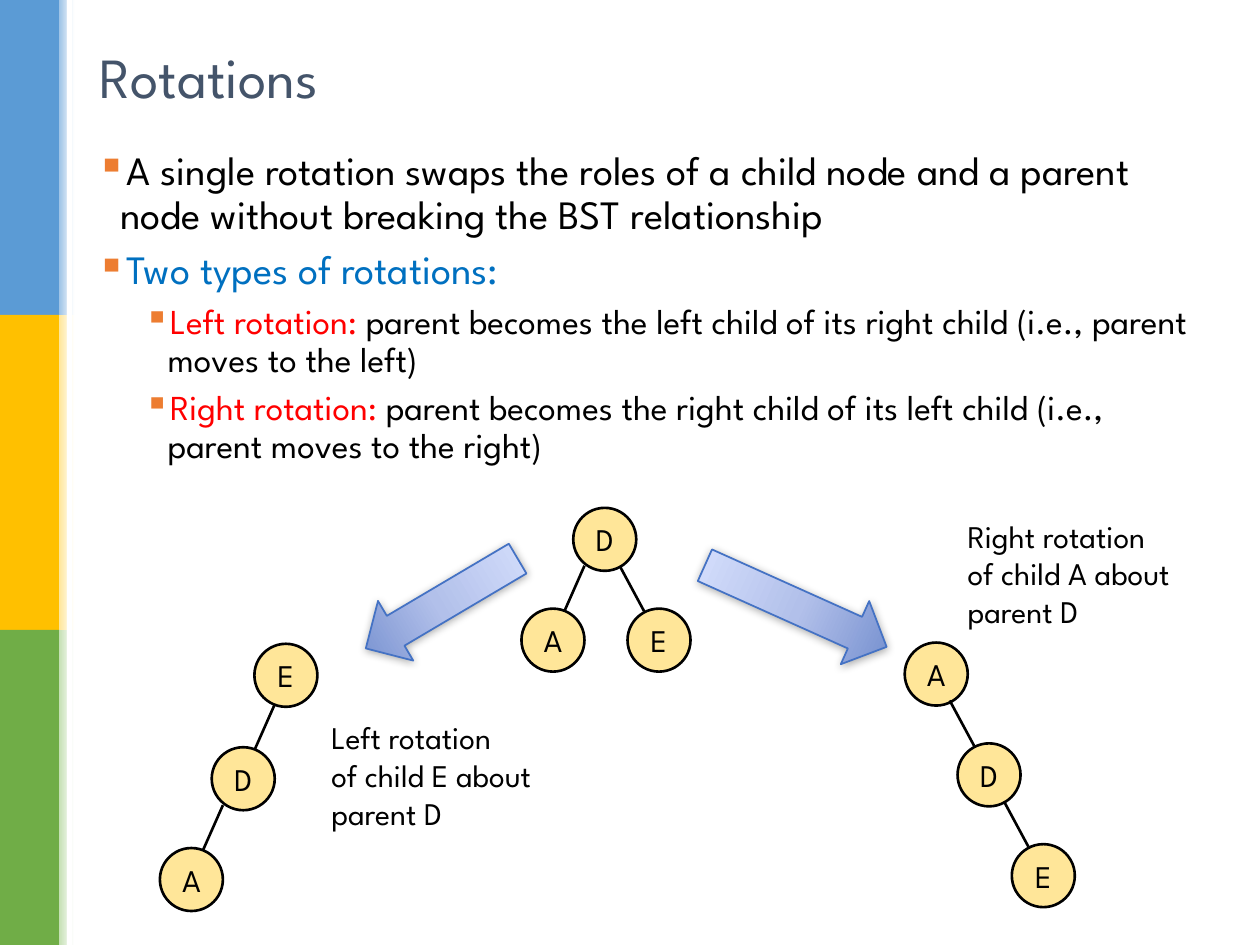
"""Build a slide on tree rotations with three small trees."""
from lxml.etree import SubElement
from pptx import Presentation
from pptx.dml.color import RGBColor
from pptx.enum.shapes import MSO_CONNECTOR, MSO_SHAPE
from pptx.enum.text import MSO_ANCHOR, PP_ALIGN
from pptx.oxml import parse_xml
from pptx.oxml.ns import nsdecls, qn
from pptx.util import Pt

FONT = "League Spartan"
COLORS = {
    "black": "000000", "white": "FFFFFF", "slate": "44546A", "red": "FF0000",
    "link": "0070C0", "bullet": "ED7D31", "node": "FFE699", "edge": "4472C4",
    "blue": "5B9BD5", "gold": "FFC000", "green": "70AD47",
    "sky": "9DC3E6", "sand": "FFE699", "mint": "C5E0B4",
    "deep": "6D89CB", "mid": "B2C0EA", "pale": "D8E1FE",
}
NODE = 36
EDGES = {"left": (24.5, 1.5, 36, -24.5), "right": (9.5, 1.5, -4.5, -24.5)}
TREES = [
    [("D", 327.6, 290.2, None), ("A", 298, 347.8, "left"), ("E", 358.6, 347.8, "right")],
    [("E", 145.4, 367.9, None), ("D", 121, 427, "left"), ("A", 91.4, 484.6, "left")],
    [("A", 517, 367.2, None), ("D", 547.2, 424.8, "right"), ("E", 578.2, 482.4, "right")],
]
POINTS = [
    (0, [("A single rotation swaps the roles of a child node and a parent node "
          "without breaking the BST relationship", "black")]),
    (0, [("Two types of rotations: ", "link")]),
    (1, [("Left rotation: ", "red"),
         ("parent becomes the left child of its right child "
          "(i.e., parent moves to the left)", "black")]),
    (1, [("Right rotation: ", "red"),
         ("parent becomes the right child of its left child "
          "(i.e., parent moves to the right)", "black")]),
]
LEVELS = [(23, 13.5, 7), (20, 40.5, 6)]


def rgb(name):
    """Return a named colour."""
    return RGBColor.from_string(COLORS[name])


def add_run(para, text, size, color):
    """Add one styled run."""
    run = para.add_run()
    run.text = text
    run.font.name = FONT
    run.font.size = Pt(size)
    run.font.color.rgb = rgb(color)


def add_shape(slide, kind, box, fill=None, line=None, width=1):
    """Add a preset shape with plain fill and line."""
    shape = slide.shapes.add_shape(kind, *map(Pt, box))
    shape.shadow.inherit = False
    if fill:
        shape.fill.solid()
        shape.fill.fore_color.rgb = rgb(fill)
    if line:
        shape.line.color.rgb = rgb(line)
        shape.line.width = Pt(width)
    else:
        shape.line.fill.background()
    return shape


def add_fade(shape, stops, angle):
    """Fill a shape with a linear gradient."""
    marks = "".join(
        f'<a:gs pos="{pos * 1000}"><a:srgbClr val="{COLORS[name]}"/></a:gs>'
        for pos, name in stops)
    fade = parse_xml(
        f'<a:gradFill {nsdecls("a")} rotWithShape="1"><a:gsLst>{marks}</a:gsLst>'
        f'<a:lin ang="{angle * 60000}" scaled="0"/></a:gradFill>')
    shape._element.spPr.find(qn("a:prstGeom")).addnext(fade)


def add_box(slide, box, anchor=MSO_ANCHOR.TOP):
    """Add a wrapping text box and return its frame."""
    frame = slide.shapes.add_textbox(*map(Pt, box)).text_frame
    frame.word_wrap = True
    frame.vertical_anchor = anchor
    return frame


def add_side(slide):
    """Draw the banded strip at the left."""
    bands = [("blue", "sky"), ("gold", "sand"), ("green", "mint")]
    for row, (main_tone, soft) in enumerate(bands):
        add_shape(slide, MSO_SHAPE.RECTANGLE, (0, row * 180, 33.8, 180), main_tone)
        fade = add_shape(slide, MSO_SHAPE.RECTANGLE, (33.8, row * 180, 8.6, 180))
        add_fade(fade, [(0, soft), (100, "white")], 0)
    add_shape(slide, MSO_SHAPE.RECTANGLE, (38.2, 0, 2.9, 540), "white")


def add_points(slide):
    """Write the bulleted text."""
    frame = add_box(slide, (48.2, 82.8, 638, 419.8))
    for index, (level, runs) in enumerate(POINTS):
        para = frame.paragraphs[0] if index == 0 else frame.add_paragraph()
        size, indent, gap = LEVELS[level]
        para.level = level
        para.line_spacing = 0.9
        para.space_before = Pt(gap)
        props = para._p.get_or_add_pPr()
        props.set("marL", str(Pt(indent)))
        props.set("indent", str(-Pt(13.5)))
        tone = SubElement(props, qn("a:buClr"))
        SubElement(tone, qn("a:srgbClr")).set("val", COLORS["bullet"])
        SubElement(props, qn("a:buChar")).set("char", "▪")
        for text, color in runs:
            add_run(para, text, size, color)


def add_node(slide, name, left, top):
    """Draw a tree node."""
    node = add_shape(slide, MSO_SHAPE.OVAL, (left, top, NODE, NODE), "node", "black", 1.5)
    frame = node.text_frame
    frame.word_wrap = False
    frame.vertical_anchor = MSO_ANCHOR.MIDDLE
    para = frame.paragraphs[0]
    para.alignment = PP_ALIGN.CENTER
    add_run(para, name, 18, "black")


def add_edge(slide, left, top, side):
    """Join a node to its parent."""
    x1, y1, x2, y2 = EDGES[side]
    ends = (left + x1, top + y1, left + x2, top + y2)
    edge = slide.shapes.add_connector(MSO_CONNECTOR.STRAIGHT, *map(Pt, ends))
    edge.line.color.rgb = rgb("black")
    edge.line.width = Pt(1.5)
    SubElement(edge._element.spPr, qn("a:effectLst"))


def add_tree(slide, nodes):
    """Draw the nodes and edges of one tree."""
    for name, left, top, side in nodes:
        add_node(slide, name, left, top)
        if side:
            add_edge(slide, left, top, side)


def add_arrow(slide, box, turn):
    """Draw a shaded block arrow."""
    arrow = add_shape(slide, MSO_SHAPE.DOWN_ARROW, box, line="edge")
    arrow.rotation = turn
    add_fade(arrow, [(0, "deep"), (48, "mid"), (100, "pale")], 270)
    effects = arrow._element.spPr.find(qn("a:effectLst"))
    effects.append(parse_xml(
        f'<a:outerShdw {nsdecls("a")} blurRad="{Pt(5)}" dist="{Pt(1)}" dir="5400000" '
        f'rotWithShape="0"><a:srgbClr val="{COLORS["black"]}">'
        '<a:alpha val="32000"/></a:srgbClr></a:outerShdw>'))


def add_label(slide, left, top, lines):
    """Write a caption of several lines."""
    para = add_box(slide, (left, top, 157, 72.7)).paragraphs[0]
    for index, text in enumerate(lines):
        if index:
            para.add_line_break()
        add_run(para, text, 18, "black")


def main():
    """Build and save the slide."""
    deck = Presentation()
    deck.slide_width, deck.slide_height = Pt(720), Pt(540)
    slide = deck.slides.add_slide(deck.slide_layouts[6])
    add_side(slide)
    add_points(slide)
    title = add_box(slide, (49.7, 18.7, 620.6, 49), MSO_ANCHOR.MIDDLE)
    add_run(title.paragraphs[0], "Rotations", 32.4, "slate")
    for nodes in TREES:
        add_tree(slide, nodes)
    add_arrow(slide, (232.6, 294.5, 39.6, 100.8), 59.4)
    add_arrow(slide, (434.9, 289.4, 39.6, 113.8), 294.2)
    add_label(slide, 182.2, 406.8, ["Left rotation ", "of child E about", "parent D"])
    add_label(slide, 545.8, 291.6, ["Right rotation ", "of child A about", "parent D"])
    deck.save("out.pptx")


main()
